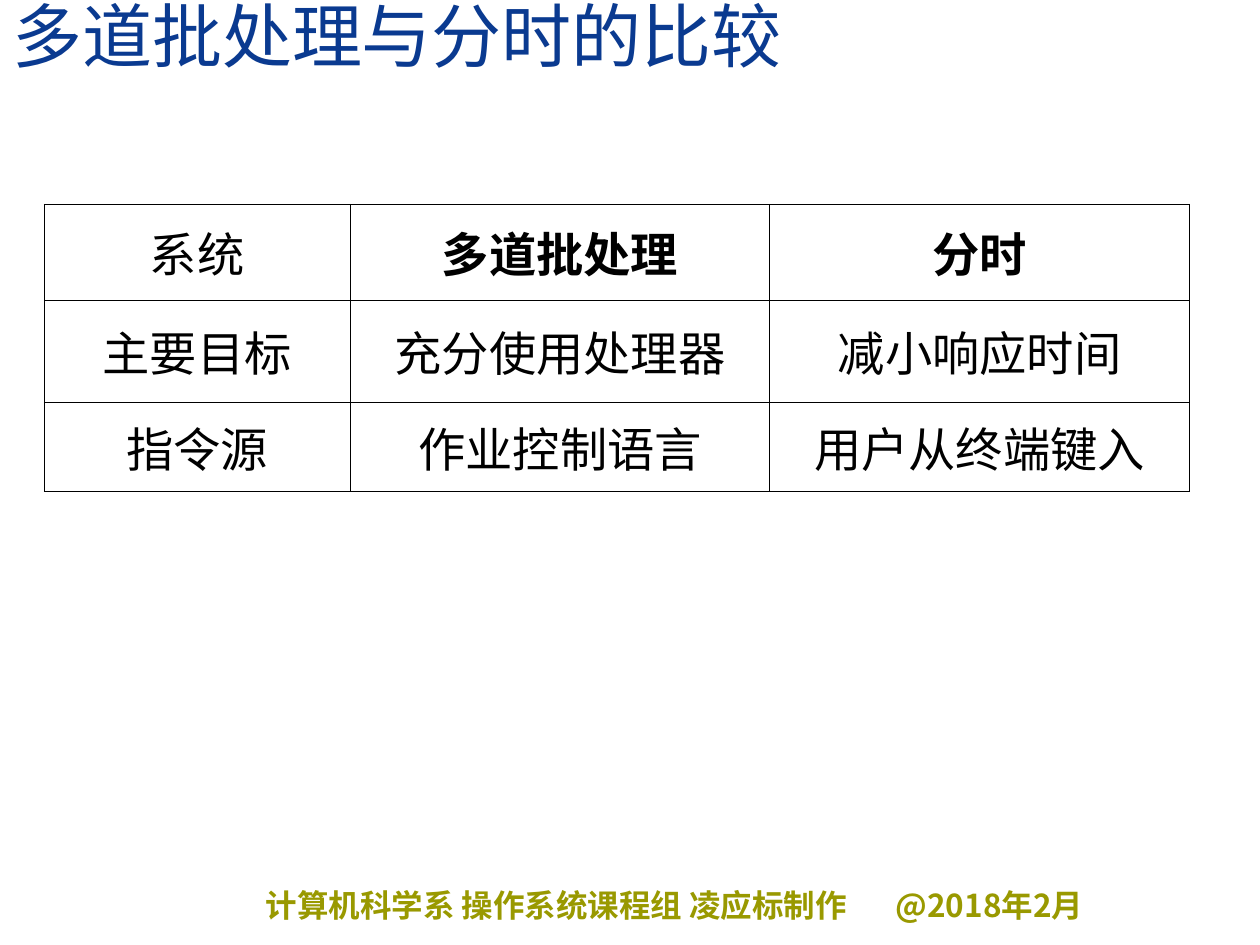
"""Build a slide comparing multiprogrammed batch and time-sharing systems."""
from dataclasses import dataclass

from lxml import etree
from pptx import Presentation
from pptx import util as u
from pptx.dml.color import RGBColor
from pptx.enum import text
from pptx.oxml import ns


@dataclass(frozen=True)
class Theme:
    title: str = "0A3A90"
    ink: str = "000000"
    paper: str = "FFFFFF"
    credit: str = "999900"
    title_size: int = 40
    cell_size: int = 27
    credit_size: int = 18


theme = Theme()


def style(paragraph, face, size, color, bold=False):
    font = paragraph.font
    font.name, font.size, font.bold = face, u.Pt(size), bold
    font.color.rgb = RGBColor.from_string(color)


def outline(cell, color, width):
    properties = cell._tc.get_or_add_tcPr()
    for position, side in enumerate(("lnL", "lnR", "lnT", "lnB")):
        line = etree.Element(ns.qn(f"a:{side}"), w=str(u.Pt(width)))
        fill = etree.SubElement(line, ns.qn("a:solidFill"))
        etree.SubElement(fill, ns.qn("a:srgbClr"), val=color)
        properties.insert(position, line)


deck = Presentation()
deck.slide_width, deck.slide_height = u.Inches(10), u.Inches(7.5)
slide = deck.slides.add_slide(deck.slide_layouts[6])

credit = slide.shapes.add_textbox(
    u.Inches(2.01), u.Inches(6.98), u.Inches(7.32), u.Inches(0.4)).text_frame
credit.word_wrap = True
credit_line = credit.paragraphs[0]
credit_line.text = "计算机科学系 操作系统课程组 凌应标制作\t@2018年2月"
tabs = etree.SubElement(credit_line._p.get_or_add_pPr(), ns.qn("a:tabLst"))
etree.SubElement(tabs, ns.qn("a:tab"), pos=str(u.Inches(5)), algn="l")
style(credit_line, "Noto Sans CJK SC", theme.credit_size, theme.credit, True)

title = slide.shapes.add_textbox(0, 0, u.Inches(10), u.Inches(0.65)).text_frame
title.word_wrap = True
title.vertical_anchor = text.MSO_ANCHOR.BOTTOM
heading = title.paragraphs[0]
heading.text = "多道批处理与分时的比较"
heading.line_spacing = 0.8
style(heading, "Times New Roman", theme.title_size, theme.title)

comparison = [
    ("系统", "多道批处理", "分时"),
    ("主要目标", "充分使用处理器", "减小响应时间"),
    ("指令源", "作业控制语言", "用户从终端键入"),
]
column_widths = (2.43, 3.33, 3.33)
row_heights = (0.76, 0.81, 0.71)
table = slide.shapes.add_table(
    len(row_heights), len(column_widths), u.Inches(0.35), u.Inches(1.62),
    u.Inches(sum(column_widths)), u.Inches(sum(row_heights))).table
for column, width in zip(table.columns, column_widths):
    column.width = u.Inches(width)
for row, height in zip(table.rows, row_heights):
    row.height = u.Inches(height)

for r, entries in enumerate(comparison):
    for c, entry in enumerate(entries):
        cell = table.cell(r, c)
        cell.text = entry
        cell.vertical_anchor = text.MSO_ANCHOR.MIDDLE
        cell.fill.solid()
        cell.fill.fore_color.rgb = RGBColor.from_string(theme.paper)
        outline(cell, theme.ink, 0.45)
        label = cell.text_frame.paragraphs[0]
        label.alignment = text.PP_ALIGN.CENTER
        style(label, "Arial", theme.cell_size, theme.ink, r == 0 and c > 0)

deck.save("out.pptx")
